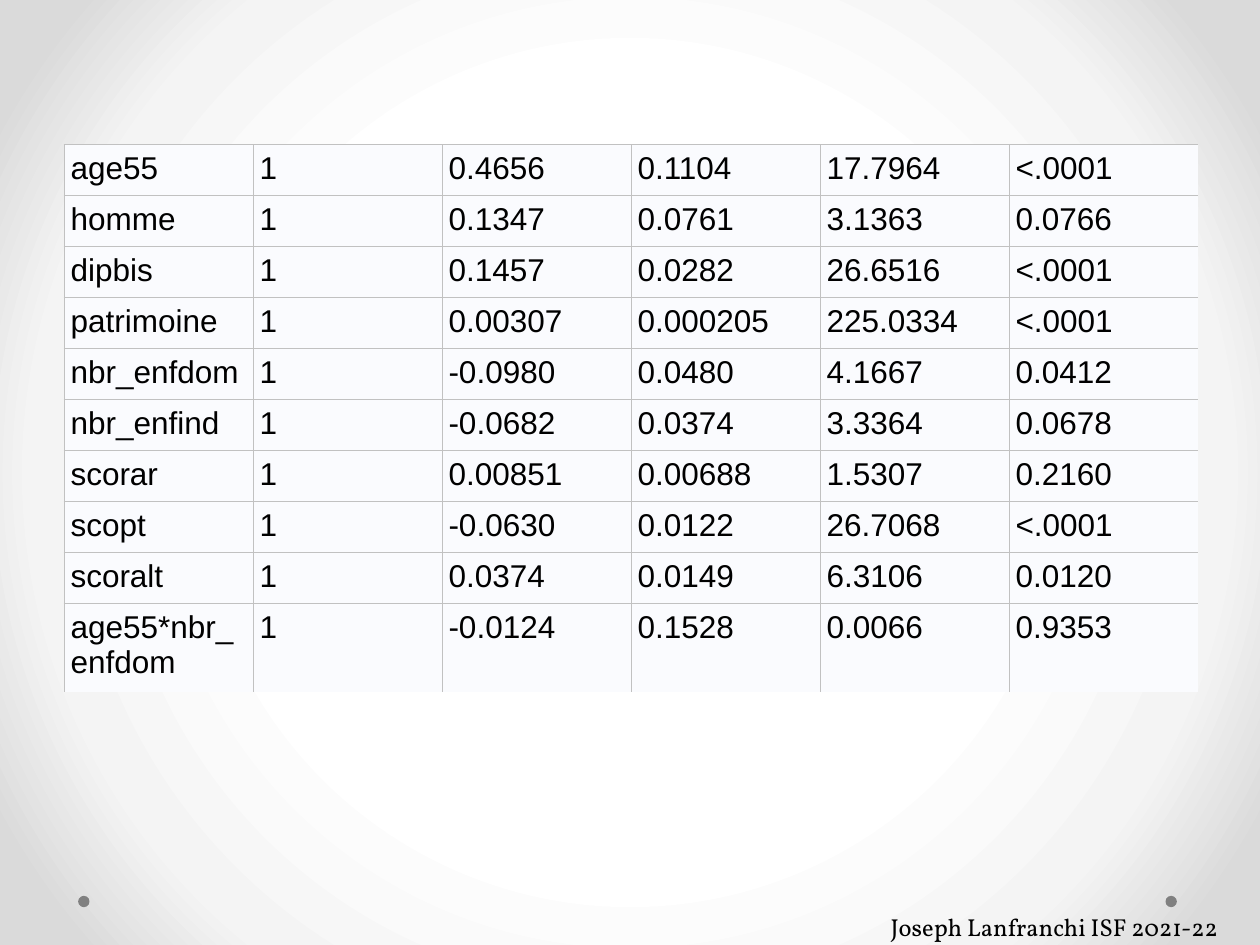
from collections import namedtuple
from dataclasses import dataclass

from lxml.etree import SubElement as add_element
from pptx import Presentation
from pptx.dml.color import RGBColor
from pptx.enum.shapes import MSO_SHAPE as Shape
from pptx.oxml import parse_xml
from pptx.oxml.ns import nsdecls, qn
from pptx.util import Inches, Pt

Box = namedtuple("Box", "left top width height")


@dataclass(frozen=True)
class Theme:
    text: str = "000000"
    dot: str = "808080"
    cell: str = "FAFBFE"
    border: str = "C1C1C1"
    background: tuple = ((50, "FFFFFF"), (76, "F4F4F4"), (92, "DADADA"))
    table_font: str = "Arial"
    table_size: int = 18
    footer_font: str = "Vollkorn"
    footer_size: int = 14
    border_width: float = 0.75


THEME = Theme()
NO_TABLE_STYLE = "{2D5ABB26-0587-4C30-8999-92F81FD0307C}"
LAST_ROW_SHARE = 1.73
CELL_MARGIN = 0.05
DOT_SIZE = 0.09

ESTIMATES = [
    ("age55", "1", "0.4656", "0.1104", "17.7964", "<.0001"),
    ("homme", "1", "0.1347", "0.0761", "3.1363", "0.0766"),
    ("dipbis", "1", "0.1457", "0.0282", "26.6516", "<.0001"),
    ("patrimoine", "1", "0.00307", "0.000205", "225.0334", "<.0001"),
    ("nbr_enfdom", "1", "-0.0980", "0.0480", "4.1667", "0.0412"),
    ("nbr_enfind", "1", "-0.0682", "0.0374", "3.3364", "0.0678"),
    ("scorar", "1", "0.00851", "0.00688", "1.5307", "0.2160"),
    ("scopt", "1", "-0.0630", "0.0122", "26.7068", "<.0001"),
    ("scoralt", "1", "0.0374", "0.0149", "6.3106", "0.0120"),
    ("age55*nbr_enfdom", "1", "-0.0124", "0.1528", "0.0066", "0.9353"),
]


def in_inches(box):
    return [Inches(length) for length in box]


def write(paragraph, text, font_name, size):
    paragraph.text = text
    paragraph.font.name = font_name
    paragraph.font.size = Pt(size)
    paragraph.font.color.rgb = RGBColor.from_string(THEME.text)


def paint_background(slide):
    slide.background.fill.solid()
    properties = slide.element.find(f".//{qn('p:bgPr')}")
    stops = "".join(
        f'<a:gs pos="{position * 1000}"><a:srgbClr val="{color}"/></a:gs>'
        for position, color in THEME.background
    )
    gradient = parse_xml(
        f'<a:gradFill {nsdecls("a")} rotWithShape="1"><a:gsLst>{stops}</a:gsLst>'
        '<a:path path="circle">'
        '<a:fillToRect l="50000" t="50000" r="50000" b="50000"/>'
        "</a:path></a:gradFill>"
    )
    properties.replace(properties[0], gradient)


def add_corner_dots(slide, box):
    for left in (box.left + box.width - DOT_SIZE, box.left):
        place = in_inches((left, box.top, DOT_SIZE, DOT_SIZE))
        dot = slide.shapes.add_shape(Shape.OVAL, *place)
        dot.shadow.inherit = False
        dot.fill.solid()
        dot.fill.fore_color.rgb = RGBColor.from_string(THEME.dot)
        dot.line.fill.background()


def set_borders(cell, sides):
    properties = cell._tc.get_or_add_tcPr()
    for index, side in enumerate(sides):
        line = parse_xml(
            f'<a:ln{side} {nsdecls("a")} w="{Pt(THEME.border_width)}">'
            f'<a:solidFill><a:srgbClr val="{THEME.border}"/></a:solidFill>'
            f"</a:ln{side}>"
        )
        properties.insert(index, line)


def fill_cell(cell, text, sides):
    cell.margin_left = cell.margin_right = Inches(CELL_MARGIN)
    cell.margin_top = cell.margin_bottom = Inches(CELL_MARGIN)
    cell.fill.solid()
    cell.fill.fore_color.rgb = RGBColor.from_string(THEME.cell)
    write(cell.text_frame.paragraphs[0], text, THEME.table_font, THEME.table_size)
    set_borders(cell, sides)


def add_estimates(slide, box):
    last_row, last_column = len(ESTIMATES) - 1, len(ESTIMATES[0]) - 1
    frame = slide.shapes.add_table(last_row + 1, last_column + 1, *in_inches(box))
    table = frame.table
    table.first_row = table.horz_banding = False
    properties = table._tbl.tblPr
    style = properties.find(qn("a:tableStyleId"))
    if style is None:
        style = add_element(properties, qn("a:tableStyleId"))
    style.text = NO_TABLE_STYLE

    row_height = box.height / (last_row + LAST_ROW_SHARE)
    for row, values in enumerate(ESTIMATES):
        share = LAST_ROW_SHARE if row == last_row else 1
        table.rows[row].height = Inches(row_height * share)
        for column, text in enumerate(values):
            sides = ["L"]
            if column < last_column:
                sides.append("R")
            sides.append("T")
            if row < last_row:
                sides.append("B")
            fill_cell(table.cell(row, column), text, sides)


def add_footer(slide, box):
    frame = slide.shapes.add_textbox(*in_inches(box)).text_frame
    frame.word_wrap = True
    write(
        frame.paragraphs[0],
        "Joseph Lanfranchi ISF 2021-22",
        THEME.footer_font,
        THEME.footer_size,
    )


def main():
    presentation = Presentation()
    presentation.slide_width, presentation.slide_height = Inches(10), Inches(7.5)
    slide = presentation.slides.add_slide(presentation.slide_layouts[6])
    paint_background(slide)
    add_corner_dots(slide, Box(0.62, 7.11, 8.72, DOT_SIZE))
    add_estimates(slide, Box(0.51, 1.15, 9, 4.34))
    add_footer(slide, Box(6.97, 7.19, 3.07, 0.34))
    presentation.save("out.pptx")


if __name__ == "__main__":
    main()
